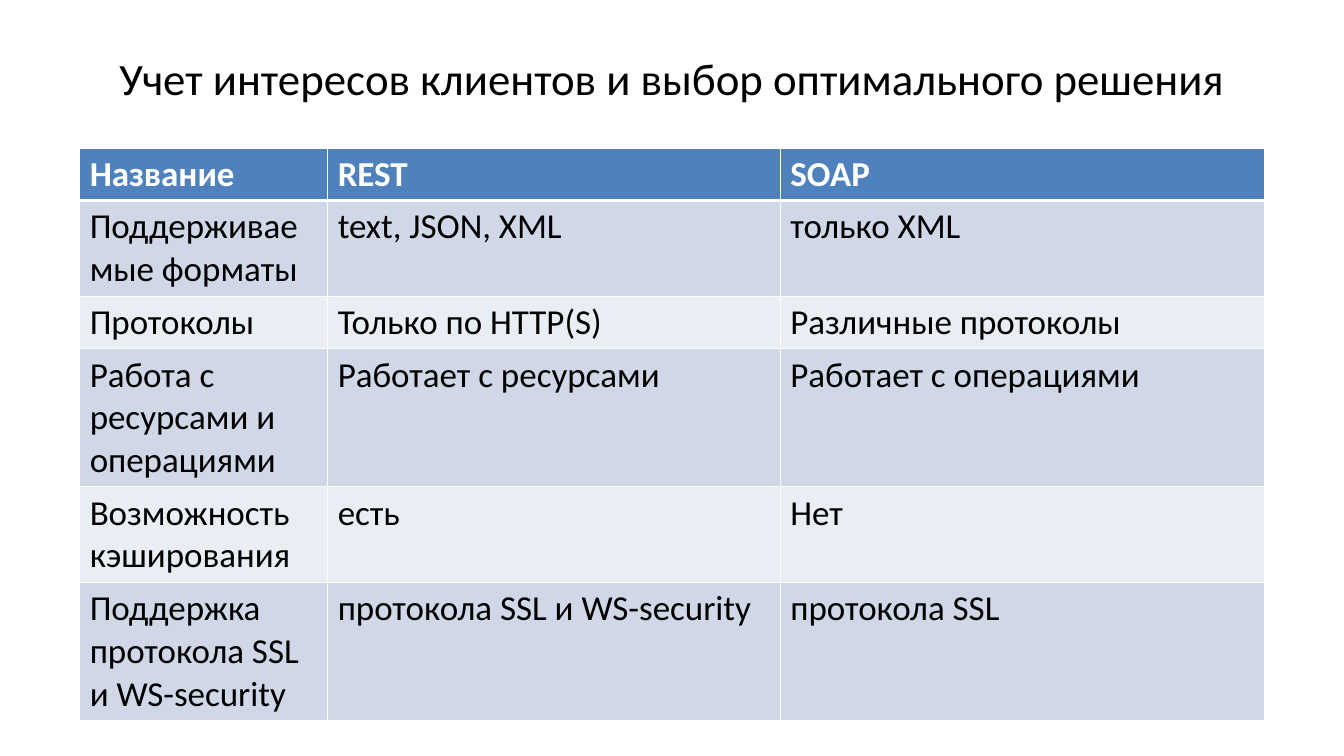
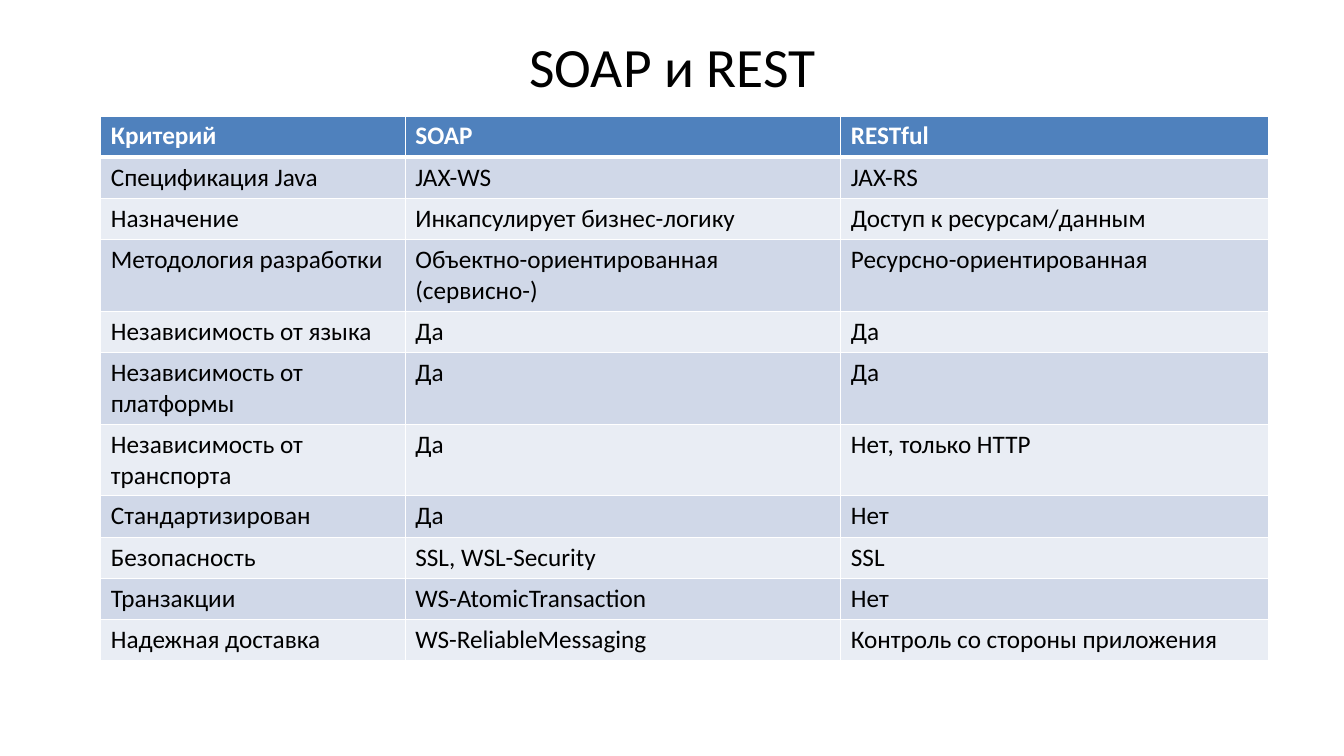
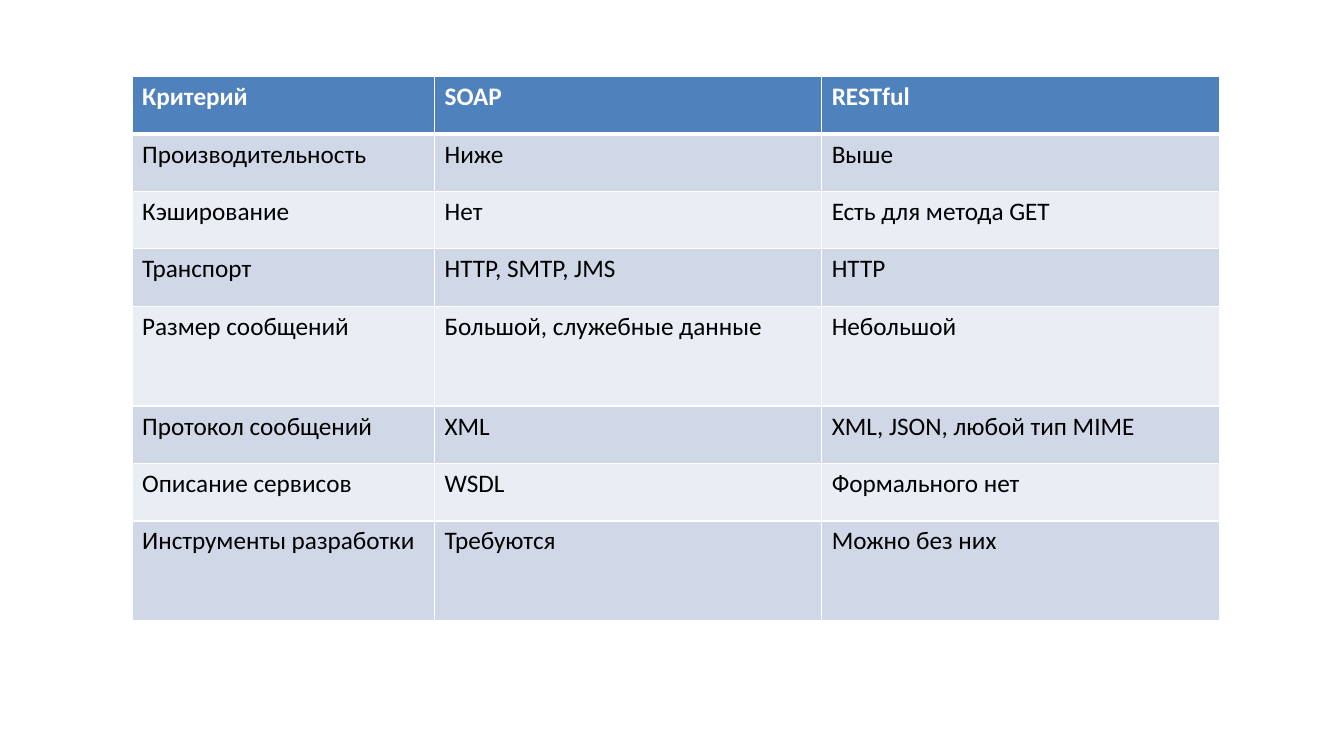
from dataclasses import dataclass
from typing import Optional

from lxml import etree
from pptx import Presentation
from pptx.dml.color import RGBColor
from pptx.enum import text
from pptx.oxml import ns
from pptx.util import Inches, Pt

FONT = "Calibri"
HEX = {
    "head": "4F81BD",
    "odd": "D0D8E8",
    "even": "E9EDF4",
    "white": "FFFFFF",
    "black": "000000",
}


@dataclass
class Title:
    words: str
    box: tuple[float, float, float, float]
    size: float


@dataclass
class Grid:
    left: float
    top: float
    size: float
    cols: list[float]
    tall: list[float]
    rows: list[tuple[str, str, str]]


@dataclass
class Page:
    title: Optional[Title]
    grid: Grid


def style(para, size: float, color: str, bold: bool = False) -> None:
    font = para.font
    font.name, font.size, font.bold = FONT, Pt(size), bold
    font.color.rgb = RGBColor.from_string(HEX[color])


def add_title(slide, title: Title) -> None:
    frame = slide.shapes.add_textbox(*map(Inches, title.box)).text_frame
    frame.word_wrap = True
    frame.vertical_anchor = text.MSO_ANCHOR.MIDDLE
    para = frame.paragraphs[0]
    para.text = title.words
    para.alignment = text.PP_ALIGN.CENTER
    style(para, title.size, "black")


def add_edges(cell, widths: dict[str, float]) -> None:
    props = cell._tc.get_or_add_tcPr()
    for side, width in widths.items():
        line = etree.SubElement(props, ns.qn(f"a:ln{side}"), w=str(Pt(width)))
        fill = etree.SubElement(line, ns.qn("a:solidFill"))
        etree.SubElement(fill, ns.qn("a:srgbClr"), val=HEX["white"])


def add_grid(slide, grid: Grid) -> None:
    area = (grid.left, grid.top, sum(grid.cols), sum(grid.tall))
    table = slide.shapes.add_table(
        len(grid.rows), len(grid.cols), *map(Inches, area)
    ).table
    for col, width in zip(table.columns, grid.cols):
        col.width = Inches(width)
    for row, height in zip(table.rows, grid.tall):
        row.height = Inches(height)
    for r, words in enumerate(grid.rows):
        head = r == 0
        shade = "head" if head else "odd" if r % 2 else "even"
        # A thick rule parts the header from the body
        edges = {"L": 1, "R": 1, "T": 3 if r == 1 else 1, "B": 3 if head else 1}
        for c, word in enumerate(words):
            cell = table.cell(r, c)
            add_edges(cell, edges)
            cell.fill.solid()
            cell.fill.fore_color.rgb = RGBColor.from_string(HEX[shade])
            para = cell.text_frame.paragraphs[0]
            para.text = word
            style(para, grid.size, "white" if head else "black", head)


# Row heights for one, two and three lines of text
BIG = {1: 0.52, 2: 0.95, 3: 1.37}
SMALL = {1: 0.41, 2: 0.71}
LOOSE = {1: 0.57, 2: 0.99}

PAGES = [
    # Choice of a solution
    Page(
        Title("Учет интересов клиентов и выбор оптимального решения",
              (0.67, 0.3, 12, 0.93), 32),
        Grid(0.79, 1.47, 25, [2.46, 4.49, 4.8],
             [BIG[n] for n in (1, 2, 1, 3, 2, 3)], [
            ("Название", "REST", "SOAP"),
            ("Поддерживаемые форматы", "text, JSON, XML", "только XML"),
            ("Протоколы", "Только по HTTP(S)", "Различные протоколы"),
            ("Работа с ресурсами и операциями", "Работает с ресурсами",
             "Работает с операциями"),
            ("Возможность кэширования", "есть", "Нет"),
            ("Поддержка протокола SSL и WS-security",
             "протокола SSL и WS-security", "протокола SSL"),
        ]),
    ),
    # Comparison by criteria
    Page(
        Title("SOAP и REST", (2.17, 0.3, 9, 0.69), 39.6),
        Grid(1, 1.15, 18, [3.02, 4.32, 4.24],
             [SMALL[n] for n in (1, 1, 1, 2, 1, 2, 2, 1, 1, 1, 1)], [
            ("Критерий", "SOAP", "RESTful"),
            ("Спецификация Java", "JAX-WS", "JAX-RS"),
            ("Назначение", "Инкапсулирует бизнес-логику",
             "Доступ к ресурсам/данным"),
            ("Методология разработки", "Объектно-ориентированная (сервисно-)",
             "Ресурсно-ориентированная"),
            ("Независимость от языка", "Да", "Да"),
            ("Независимость от платформы", "Да", "Да"),
            ("Независимость от транспорта", "Да", "Нет, только HTTP"),
            ("Стандартизирован", "Да", "Нет"),
            ("Безопасность", "SSL, WSL-Security", "SSL"),
            ("Транзакции", "WS-AtomicTransaction", "Нет"),
            ("Надежная доставка", "WS-ReliableMessaging",
             "Контроль со стороны приложения"),
        ]),
    ),
    # Further criteria
    Page(
        None,
        Grid(1.31, 0.76, 18, [3, 3.84, 3.95],
             [LOOSE[n] for n in (1, 1, 1, 1, 2, 1, 1, 2)], [
            ("Критерий", "SOAP", "RESTful"),
            ("Производительность", "Ниже", "Выше"),
            ("Кэширование", "Нет", "Есть для метода GET"),
            ("Транспорт", "HTTP, SMTP, JMS", "HTTP"),
            ("Размер сообщений", "Большой, служебные данные", "Небольшой"),
            ("Протокол сообщений", "XML", "XML, JSON, любой тип MIME"),
            ("Описание сервисов", "WSDL", "Формального нет"),
            ("Инструменты разработки", "Требуются", "Можно без них"),
        ]),
    ),
]


def main() -> None:
    deck = Presentation()
    deck.slide_width, deck.slide_height = Inches(13.33), Inches(7.5)
    for page in PAGES:
        slide = deck.slides.add_slide(deck.slide_layouts[6])
        if page.title:
            add_title(slide, page.title)
        add_grid(slide, page.grid)
    deck.save("out.pptx")


if __name__ == "__main__":
    main()
